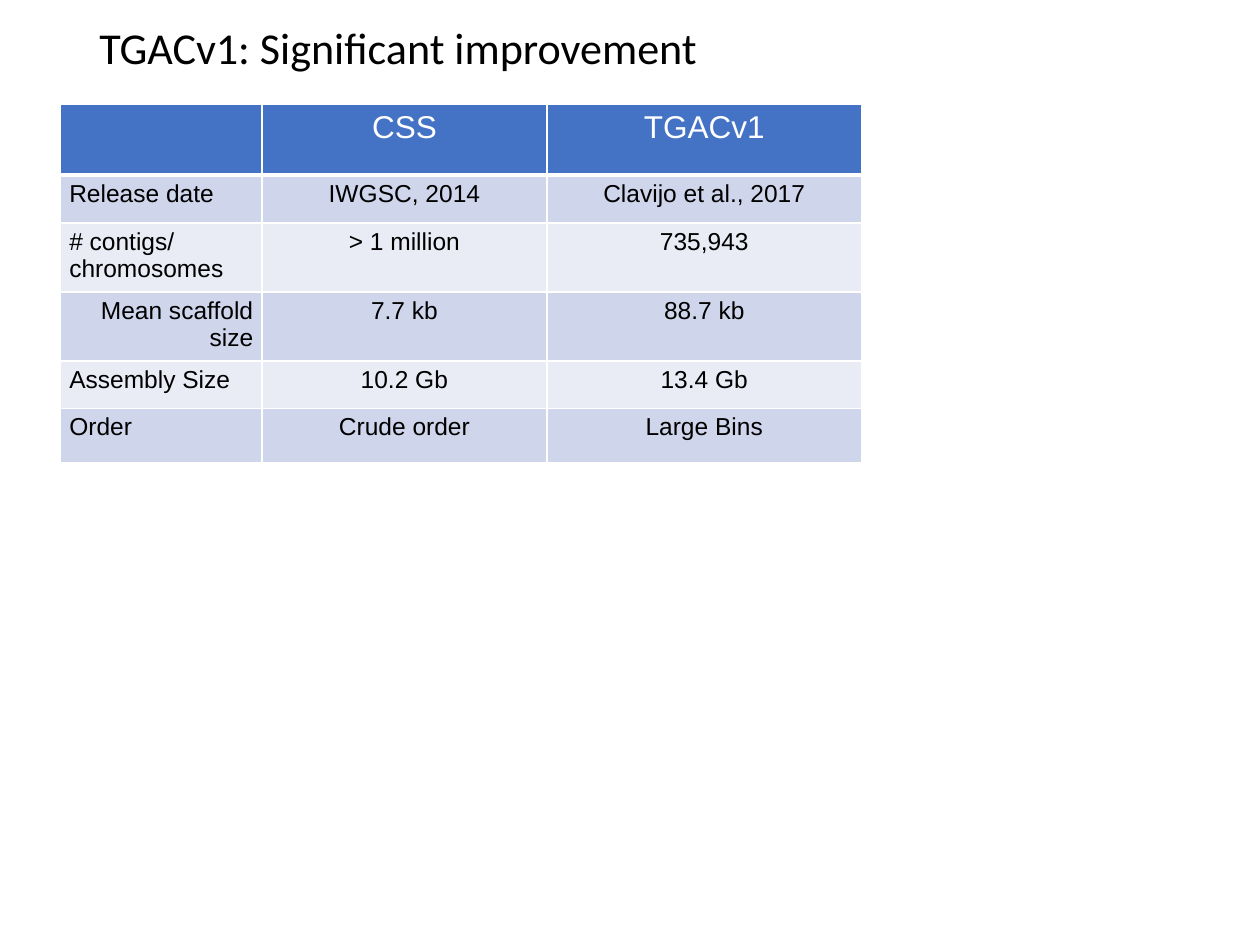
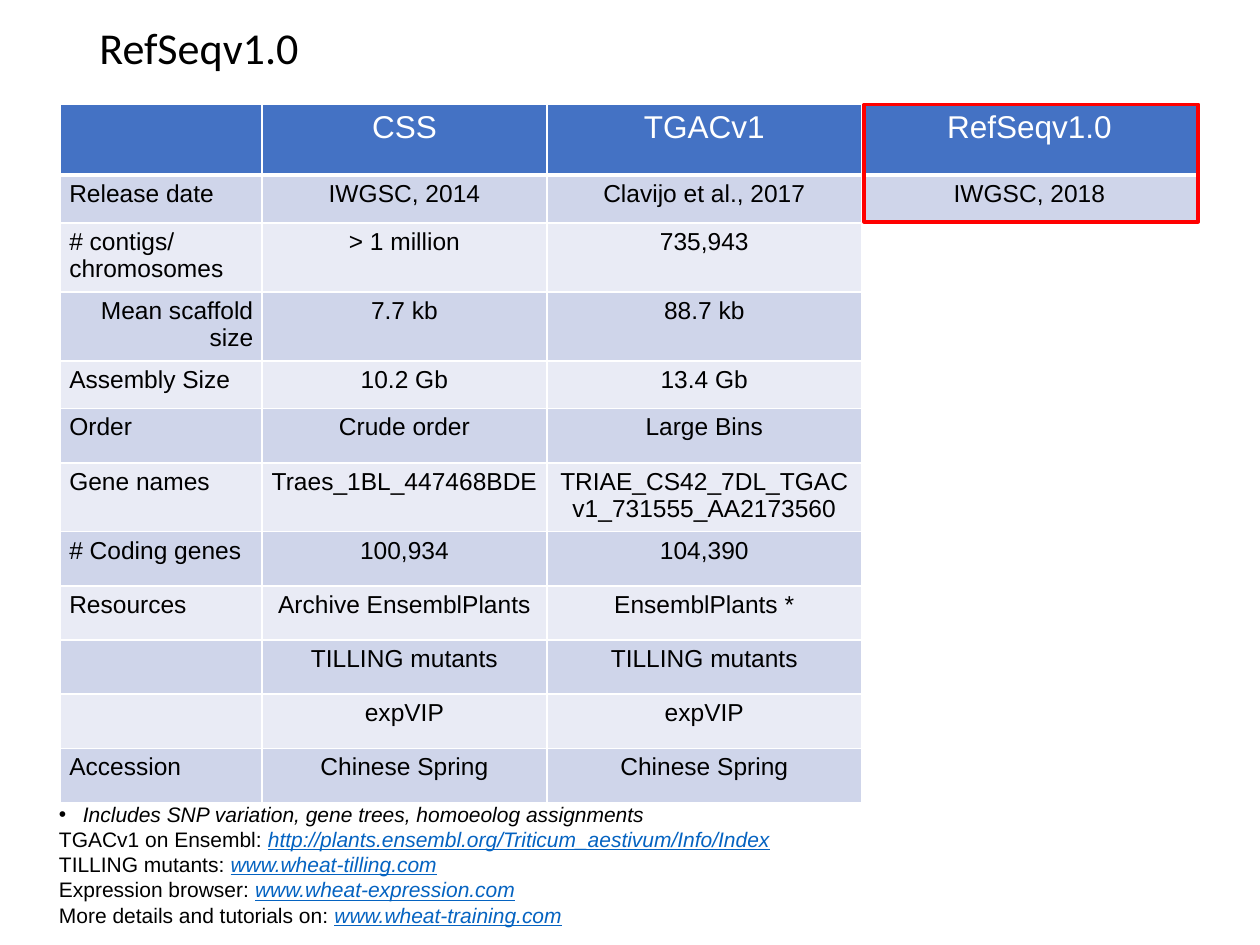
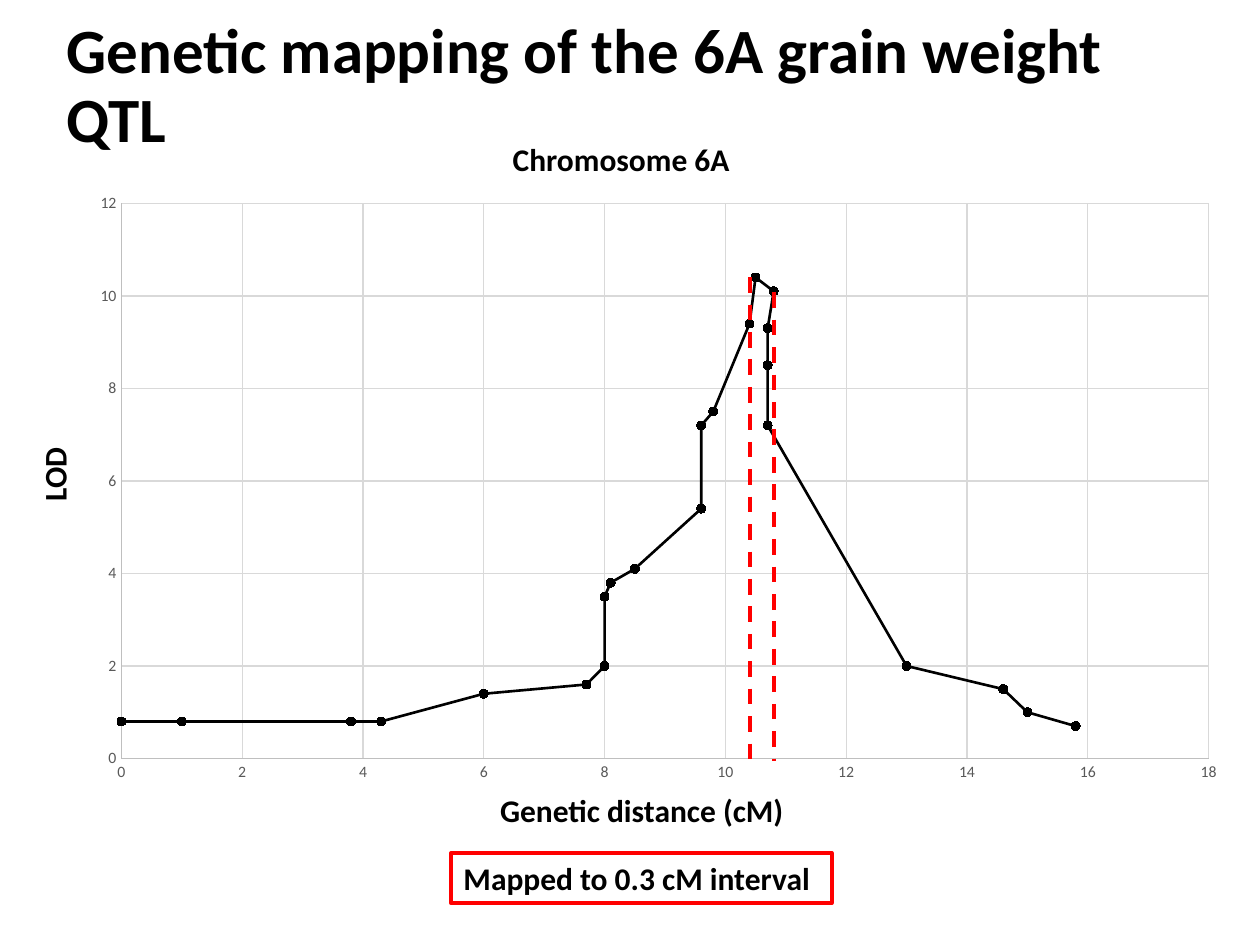
from lxml.etree import SubElement
from pptx import Presentation
from pptx.chart.data import XyChartData
from pptx.dml.color import RGBColor
from pptx.enum.chart import XL_CHART_TYPE as Kind, XL_MARKER_STYLE as Mark, XL_TICK_MARK as Tick
from pptx.enum.dml import MSO_LINE as Dash
from pptx.enum.shapes import MSO_CONNECTOR as Link, MSO_SHAPE as Shape
from pptx.enum.text import MSO_ANCHOR as Anchor, PP_ALIGN as Align
from pptx.oxml import parse_xml
from pptx.oxml.ns import nsdecls, qn
from pptx.util import Inches, Pt

BLACK, WHITE, RED, BLUE = "000000", "FFFFFF", "FF0000", "4472C4"
BANDS = ("CFD5EA", "E9EBF5")
LINK, GREY, RULE, GRID = "0563C1", "595959", "BFBFBF", "D9D9D9"
SANS, HEAD = "Arial", "Calibri"
TITLE = (0.69, 0.16, 8.62, 0.48)
COLS = (1.6, 2.26, 2.5, 2.66)
ROWS = (0.56,) + (0.38,) * 4 + (0.43,) * 7
GENOMES = (
    ("", "CSS", "TGACv1"),
    ("Release date", "IWGSC, 2014", "Clavijo et al., 2017"),
    ("# contigs/ chromosomes", "> 1 million", "735,943"),
    ("Mean scaffold size", "7.7 kb", "88.7 kb"),
    ("Assembly Size", "10.2 Gb", "13.4 Gb"),
    ("Order", "Crude order", "Large Bins"),
    ("Gene names", "Traes_1BL_447468BDE", "TRIAE_CS42_7DL_TGACv1_731555_AA2173560"),
    ("# Coding genes", "100,934", "104,390"),
    ("Resources", "Archive EnsemblPlants", "EnsemblPlants *"),
    ("", "TILLING mutants", "TILLING mutants"),
    ("", "expVIP", "expVIP"),
    ("Accession", "Chinese Spring", "Chinese Spring"),
)
REFSEQ = ("RefSeqv1.0", "IWGSC, 2018")
SITES = (
    ("TGACv1 on Ensembl: ", "http://plants.ensembl.org/Triticum_aestivum/Info/Index"),
    ("TILLING mutants: ", "www.wheat-tilling.com"),
    ("Expression browser: ", "www.wheat-expression.com"),
    ("More details and tutorials on: ", "www.wheat-training.com"),
)
SCORES = (
    (0, 0.8), (1, 0.8), (3.8, 0.8), (4.3, 0.8), (6, 1.4), (6, 1.4), (7.7, 1.6),
    (8, 2), (8, 3.5), (8.1, 3.8), (8.5, 4.1), (9.6, 5.4), (9.6, 7.2), (9.8, 7.5),
    (10.4, 9.4), (10.5, 10.4), (10.8, 10.1), (10.7, 9.3), (10.7, 8.5), (10.7, 7.2),
    (13, 2), (14.6, 1.5), (15, 1), (15, 1), (15, 1), (15.8, 0.7),
)
PLOT = {"x": 0.044, "y": 0.046, "w": 0.94, "h": 0.903}
SPAN, TOP = 18, 12


def color(code):
    return RGBColor.from_string(code)


def inch(box):
    return [Inches(n) for n in box]


def ink(line, code, width):
    line.color.rgb = color(code)
    line.width = Pt(width)


def style(font, size, face, code=BLACK, bold=False, slant=False):
    font.size, font.name = Pt(size), face
    font.bold, font.italic = bold, slant
    font.color.rgb = color(code)


def write(para, text, *args, **opts):
    run = para.add_run()
    run.text = text
    style(run.font, *args, **opts)
    return run


def label(slide, box, text, size=18, bold=True, turn=0):
    area = slide.shapes.add_textbox(*inch(box))
    area.rotation = turn
    area.text_frame.word_wrap = True
    write(area.text_frame.paragraphs[0], text, size, HEAD, bold=bold)
    return area.text_frame


def title(slide, text, box=TITLE, size=25.2, bold=False):
    frame = label(slide, box, text, size, bold)
    frame.vertical_anchor = Anchor.MIDDLE
    frame.paragraphs[0].line_spacing = 0.9


def outline(slide, box):
    rect = slide.shapes.add_shape(Shape.RECTANGLE, *inch(box))
    rect.shadow.inherit = False
    rect.fill.background()
    ink(rect.line, RED, 2.25)
    return rect.text_frame


def edge(cell, side, width):
    props = cell._tc.get_or_add_tcPr()
    line = SubElement(props, qn(f"a:ln{side}"), w=str(Pt(width)))
    fill = SubElement(line, qn("a:solidFill"))
    SubElement(fill, qn("a:srgbClr"), val=WHITE)


def fill_cell(cell, text, row, col):
    cell.margin_left = cell.margin_right = Inches(0.07)
    cell.margin_top = cell.margin_bottom = Inches(0.04)
    for side in "LRTB":
        edge(cell, side, 3 if row == 0 and side == "B" else 1)
    cell.fill.solid()
    blank = col == 3 and row > 1
    shade = WHITE if blank else BANDS[(row - 1) % 2] if row else BLUE
    cell.fill.fore_color.rgb = color(shade)
    para = cell.text_frame.paragraphs[0]
    if col:
        para.alignment = Align.CENTER
    elif text == "Mean scaffold size":
        para.alignment = Align.RIGHT
    else:
        para.alignment = Align.LEFT
    write(para, text, 14 if row else 18, SANS, BLACK if row else WHITE)


def grid(slide, left, top, rows):
    cols, tall = COLS[:len(rows[0])], ROWS[:len(rows)]
    box = inch((left, top, sum(cols), sum(tall)))
    table = slide.shapes.add_table(len(rows), len(cols), *box).table
    for part, width in zip(table.columns, cols):
        part.width = Inches(width)
    for part, height in zip(table.rows, tall):
        part.height = Inches(height)
    for r, row in enumerate(rows):
        for c, text in enumerate(row):
            fill_cell(table.cell(r, c), text, r, c)


def notes(slide, box):
    frame = slide.shapes.add_textbox(*inch(box)).text_frame
    frame.word_wrap = True
    para = frame.paragraphs[0]
    props = para._p.get_or_add_pPr()
    props.set("marL", str(Inches(0.19)))
    props.set("indent", str(Inches(-0.19)))
    SubElement(props, qn("a:buFont"), typeface=SANS)
    SubElement(props, qn("a:buChar"), char="•")
    write(para, "Includes SNP variation, gene trees, homoeolog assignments", 12, SANS, slant=True)
    for name, site in SITES:
        para = frame.add_paragraph()
        write(para, name, 12, SANS)
        write(para, site, 12, SANS, LINK, slant=True).font.underline = True


def scale(axis, limit):
    axis.minimum_scale, axis.maximum_scale, axis.major_unit = 0, limit, 2
    axis.major_tick_mark = axis.minor_tick_mark = Tick.NONE
    axis.has_major_gridlines = True
    ink(axis.major_gridlines.format.line, GRID, 0.75)
    ink(axis.format.line, RULE, 0.75)
    labels = axis.tick_labels
    labels.number_format, labels.number_format_is_linked = "General", False
    style(labels.font, 9, HEAD, GREY)


def set_plot(chart):
    area = chart._chartSpace.chart.plotArea
    for old in area.findall(qn("c:layout")):
        area.remove(old)
    modes = "".join(f'<c:{k}Mode val="edge"/>' for k in "xy")
    sizes = "".join(f'<c:{k} val="{n}"/>' for k, n in PLOT.items())
    area.insert(0, parse_xml(
        f'<c:layout {nsdecls("c")}><c:manualLayout><c:layoutTarget val="inner"/>'
        f"{modes}{sizes}</c:manualLayout></c:layout>"))


def curve(slide, box):
    data = XyChartData()
    series = data.add_series("Series 1")
    for x, y in SCORES:
        series.add_data_point(x, y)
    chart = slide.shapes.add_chart(Kind.XY_SCATTER_LINES, *inch(box), data).chart
    chart.has_title = chart.has_legend = False
    style(chart.font, 10, HEAD)
    set_plot(chart)
    scale(chart.category_axis, SPAN)
    scale(chart.value_axis, TOP)
    plot = chart.plots[0]
    plot.vary_by_categories = False
    line = plot.series[0]
    line.smooth = False
    ink(line.format.line, BLACK, 1.5)
    line.marker.style, line.marker.size = Mark.CIRCLE, 5
    line.marker.format.fill.solid()
    line.marker.format.fill.fore_color.rgb = color(BLACK)
    ink(line.marker.format.line, BLACK, 0.75)


def bound(slide, box, dist, start, end):
    left, top, wide, _ = box
    x = left + wide * (PLOT["x"] + PLOT["w"] * dist / SPAN)
    line = slide.shapes.add_connector(
        Link.STRAIGHT, *inch((x, top + start, x, top + end)))
    ink(line.line, RED, 2.25)
    line.line.dash_style = Dash.DASH
    SubElement(line._element.spPr, qn("a:effectLst"))


def mapping(slide, box):
    left, top, _, high = box
    curve(slide, box)
    label(slide, (left + 3.41, top - 0.33, 3.02, 0.4), "Chromosome 6A")
    title(slide, "Genetic mapping of the 6A grain weight QTL", (0.43, -0.03, 9.32, 1.45), 36, True)
    bound(slide, box, 10.4, 0.81, 4.69)
    bound(slide, box, 10.8, 0.93, 4.65)
    base = top + high
    label(slide, (left + 3.31, base - 0.04, 3.02, 0.4), "Genetic distance (cM)")
    label(slide, (left - 1.64, top + 0.98, 3.02, 0.4), "LOD", turn=270)
    frame = outline(slide, (left + 3.02, base + 0.5, 3.02, 0.4))
    frame.word_wrap = True
    frame.vertical_anchor = Anchor.TOP
    para = frame.paragraphs[0]
    para.alignment = Align.LEFT
    write(para, "Mapped to 0.3 cM interval", 18, HEAD, bold=True)


def refseq(slide, left, top):
    extra = REFSEQ + ("",) * (len(GENOMES) - len(REFSEQ))
    grid(slide, left, top, [row + (text,) for row, text in zip(GENOMES, extra)])
    notes(slide, (left - 0.11, top + 5.48, 5.94, 1.31))
    outline(slide, (left + sum(COLS[:3]) + 0.02, top, 2.65, 0.93))


def main():
    deck = Presentation()
    deck.slide_width, deck.slide_height = Inches(10), Inches(7.5)
    first, second, third = [deck.slides.add_slide(deck.slide_layouts[6]) for _ in range(3)]
    title(first, "TGACv1: Significant improvement")
    grid(first, 0.48, 0.83, GENOMES[:6])
    title(second, "RefSeqv1.0")
    refseq(second, 0.48, 0.83)
    mapping(third, (0.56, 1.39, 9.18, 4.88))
    deck.save("out.pptx")


if __name__ == "__main__":
    main()
